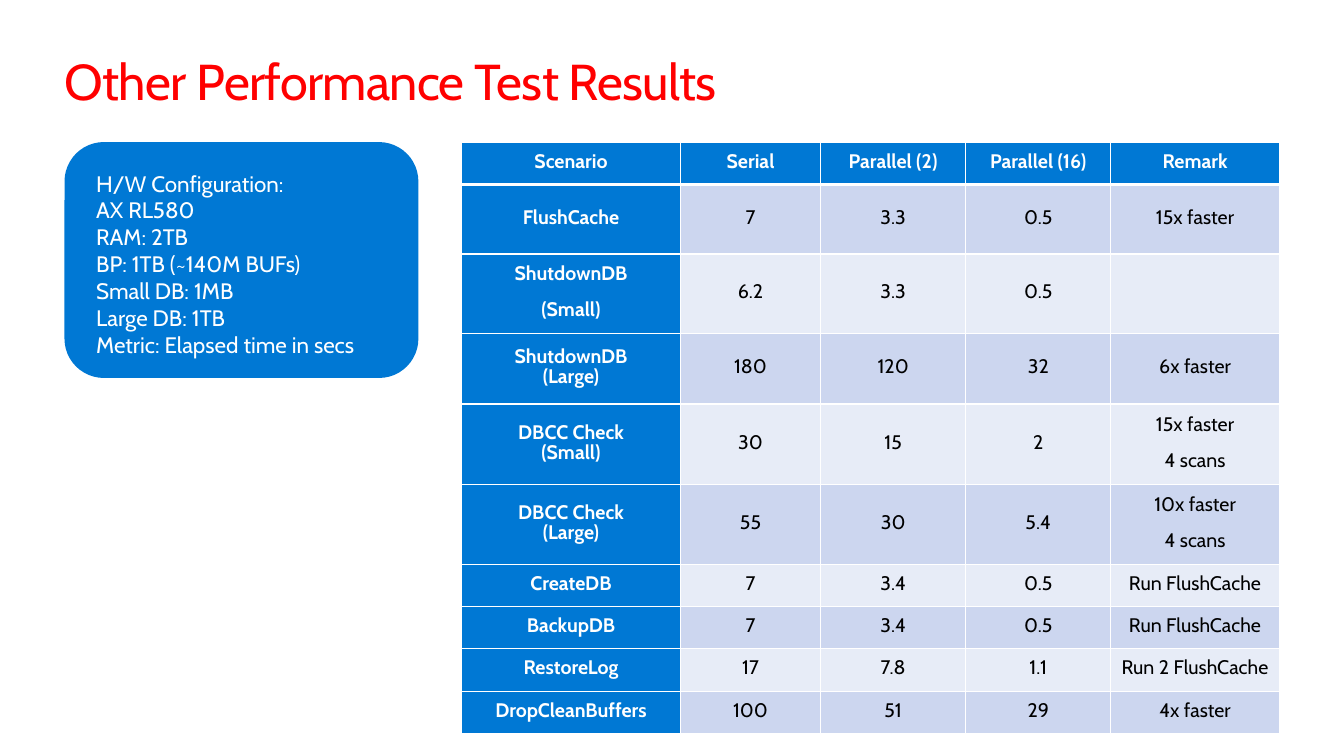
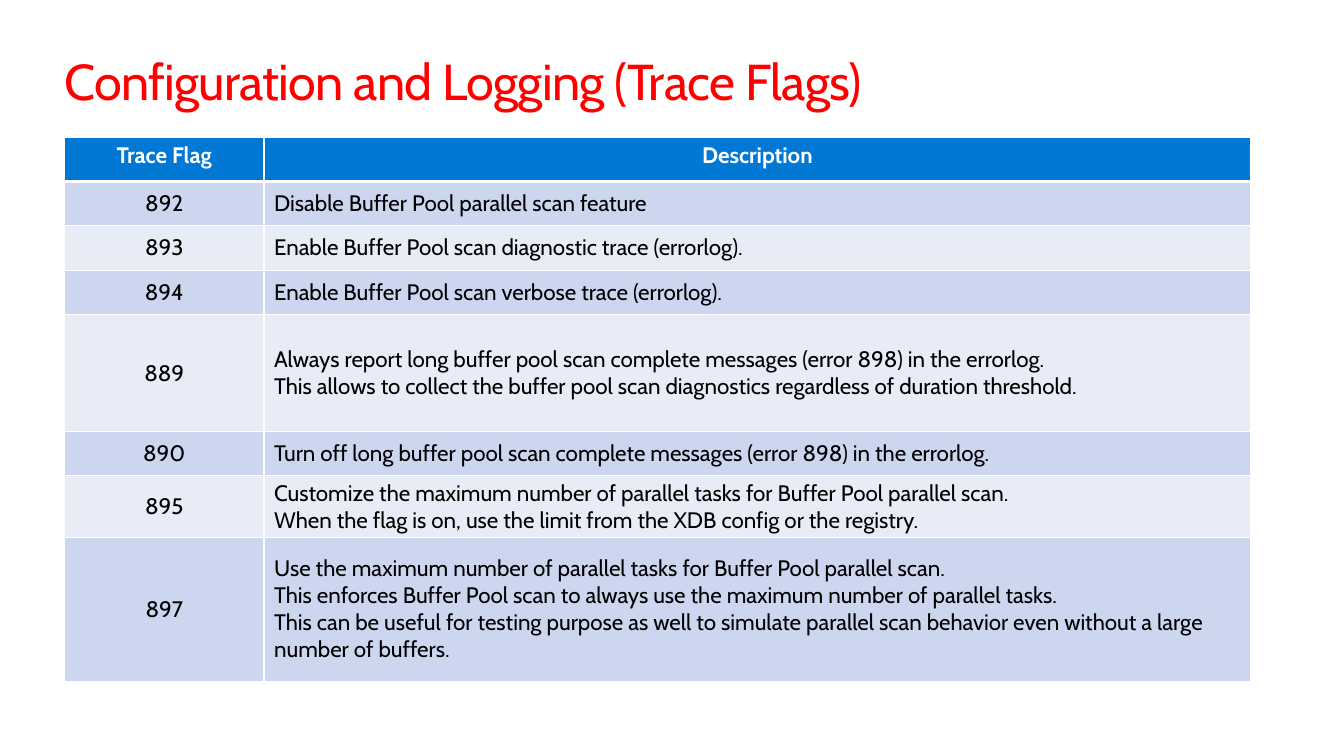
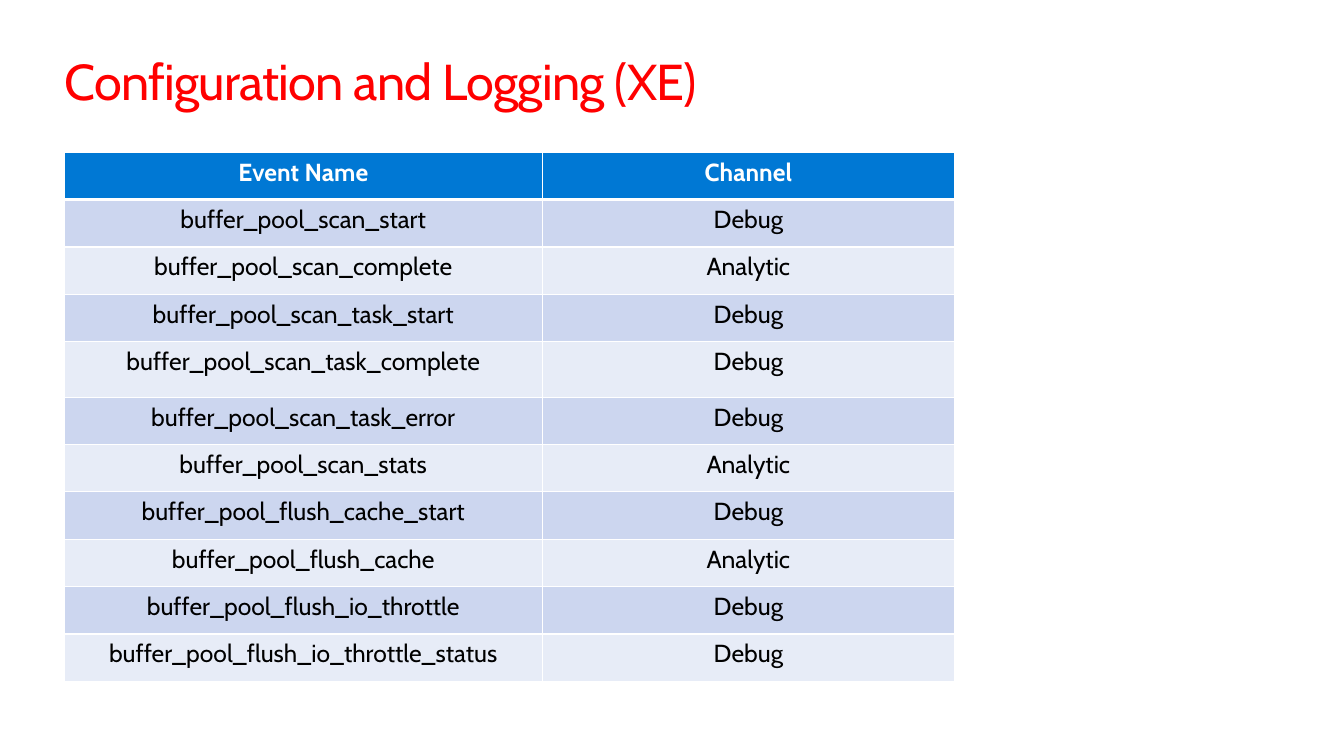
from copy import deepcopy
from dataclasses import dataclass

from pptx import Presentation
from pptx.dml.color import RGBColor as RGB
from pptx.enum.shapes import MSO_SHAPE as SHAPE
from pptx.enum.text import MSO_ANCHOR as ANCHOR, MSO_AUTO_SIZE as AUTO, PP_ALIGN as ALIGN
from pptx.oxml.ns import qn
from pptx.util import Inches, Pt
from lxml.etree import SubElement


@dataclass
class Theme:
    font: str = "Cabin"
    red: str = "FF0000"
    blue: str = "0078D4"
    bands: tuple = ("CCD6EF", "E7ECF7")
    white: str = "FFFFFF"
    black: str = "000000"
    title_size: float = 36
    box_size: float = 16


T = Theme()

prs = Presentation()
prs.slide_width, prs.slide_height = Inches(13.33), Inches(7.5)

# Grid: 100 columns by 100 rows
COL, ROW = prs.slide_width / 100, prs.slide_height / 100
MARGIN = 4.8


def add_text(p, text, size, color, bold=False):
    """Add text to a paragraph; a vertical tab starts a new line within it."""
    for i, part in enumerate(text.split("\v")):
        if i:
            p.add_line_break()
            p._p[-1].append(deepcopy(r._r.rPr))
        r = p.add_run()
        r.text = part
        r.font.name, r.font.size, r.font.bold = T.font, Pt(size), bold
        r.font.color.rgb = RGB.from_string(color)
    return r


def format_cell(cell, text, size, fill, color, bold, align, anchor, compact, tops):
    """Draw the borders, fill and paragraphs of one table cell."""
    tcPr = cell._tc.get_or_add_tcPr()
    for side, width in zip("LRTB", (1, 1, *tops)):
        ln = SubElement(tcPr, qn(f"a:ln{side}"), w=str(Pt(width)))
        SubElement(SubElement(ln, qn("a:solidFill")), qn("a:srgbClr"), val=T.white)
    cell.fill.solid()
    cell.fill.fore_color.rgb = RGB.from_string(fill)
    cell.vertical_anchor = anchor
    if compact:
        cell.margin_left = cell.margin_right = Inches(0.05)
    elif align == ALIGN.LEFT:
        cell.margin_top = cell.margin_bottom = Inches(0.03)
    tf = cell.text_frame
    for i, line in enumerate(text.split("\n") if text else []):
        p = tf.add_paragraph() if i else tf.paragraphs[0]
        p.alignment = align
        if compact:
            p.line_spacing, p.space_after = Pt(14), Pt(12)
        add_text(p, line, size, color, bold)


# Content of the three slides; positions and sizes in grid units
C, L = ALIGN.CENTER, ALIGN.LEFT
pages = [
    dict(
        title="Other Performance Test Results",
        left=34.35, top=18.8, size=14, compact=True, aligns=[C] * 5,
        head_anchor=ANCHOR.MIDDLE, body_anchor=ANCHOR.MIDDLE,
        cols=[16.28, 10.43, 10.8, 10.8, 12.53],
        heights=[5.6, 9.2, 10.53, 9.33, 10.67, 10.53] + [5.6] * 4,
        rows=[
            ("Scenario", "Serial", "Parallel (2)", "Parallel (16)", "Remark"),
            ("FlushCache", "7", "3.3", "0.5", "15x faster"),
            ("ShutdownDB\n(Small)", "6.2", "3.3", "0.5", ""),
            ("ShutdownDB\v(Large)", "180", "120", "32", "6x faster"),
            ("DBCC Check\v(Small)", "30", "15", "2", "15x faster\n4 scans"),
            ("DBCC Check\v(Large)", "55", "30", "5.4", "10x faster\n4 scans"),
            ("CreateDB", "7", "3.4", "0.5", "Run FlushCache"),
            ("BackupDB", "7", "3.4", "0.5", "Run FlushCache"),
            ("RestoreLog", "17", "7.8", "1.1", "Run 2 FlushCache"),
            ("DropCleanBuffers", "100", "51", "29", "4x faster"),
        ],
        box=["H/W Configuration:", "AX RL580", "RAM: 2TB", "BP: 1TB (~140M BUFs)",
             "Small DB: 1MB", "Large DB: 1TB", "Metric: Elapsed time in secs"],
    ),
    dict(
        title="Configuration and Logging (Trace Flags)",
        left=MARGIN, top=18.13, size=16, compact=False, aligns=[C, L],
        head_anchor=ANCHOR.TOP, body_anchor=ANCHOR.MIDDLE,
        cols=[14.85, 73.43],
        heights=[5.87] * 4 + [15.47, 5.87, 8.13, 19.07],
        rows=[
            ("Trace Flag", "Description"),
            ("892", "Disable Buffer Pool parallel scan feature"),
            ("893", "Enable Buffer Pool scan diagnostic trace (errorlog)."),
            ("894", "Enable Buffer Pool scan verbose trace (errorlog)."),
            ("889", "Always report long buffer pool scan complete messages (error 898) in the errorlog.\v"
                    "This allows to collect the buffer pool scan diagnostics regardless of duration threshold."),
            ("890", "Turn off long buffer pool scan complete messages (error 898) in the errorlog."),
            ("895", "Customize the maximum number of parallel tasks for Buffer Pool parallel scan.\v"
                    "When the flag is on, use the limit from the XDB config or the registry."),
            ("897", "Use the maximum number of parallel tasks for Buffer Pool parallel scan.\v"
                    "This enforces Buffer Pool scan to always use the maximum number of parallel tasks.\n"
                    "This can be useful for testing purpose as well to simulate parallel scan behavior "
                    "even without a large number of buffers."),
        ],
    ),
    dict(
        title="Configuration and Logging (XE)",
        left=MARGIN, top=20.13, size=17.6, compact=False, aligns=[C, C],
        head_anchor=ANCHOR.TOP, body_anchor=ANCHOR.TOP,
        cols=[35.55, 30.68],
        heights=[6.27] * 4 + [7.33] + [6.27] * 6,
        rows=[
            ("Event Name", "Channel"),
            ("buffer_pool_scan_start", "Debug"),
            ("buffer_pool_scan_complete", "Analytic"),
            ("buffer_pool_scan_task_start", "Debug"),
            ("buffer_pool_scan_task_complete", "Debug"),
            ("buffer_pool_scan_task_error", "Debug"),
            ("buffer_pool_scan_stats", "Analytic"),
            ("buffer_pool_flush_cache_start", "Debug"),
            ("buffer_pool_flush_cache", "Analytic"),
            ("buffer_pool_flush_io_throttle", "Debug"),
            ("buffer_pool_flush_io_throttle_status", "Debug"),
        ],
    ),
]

for page in pages:
    s = prs.slides.add_slide(prs.slide_layouts[5])

    # Title
    sp = s.shapes.title
    sp.left, sp.top = int(MARGIN * COL), int(6.67 * ROW)
    sp.width, sp.height = int(90.4 * COL), int(8.13 * ROW)
    tf = sp.text_frame
    tf.margin_left = tf.margin_top = tf.margin_right = tf.margin_bottom = 0
    tf.word_wrap, tf.auto_size = True, AUTO.SHAPE_TO_FIT_TEXT
    tf.vertical_anchor = ANCHOR.TOP
    p = tf.paragraphs[0]
    p.alignment = L
    r = add_text(p, page["title"], T.title_size, T.red)
    r._r.rPr.set("spc", "-50")

    # Table
    rows, cols, heights = page["rows"], page["cols"], page["heights"]
    table = s.shapes.add_table(
        len(rows), len(cols), int(page["left"] * COL), int(page["top"] * ROW),
        int(sum(cols) * COL), int(sum(heights) * ROW)).table
    for column, width in zip(table.columns, cols):
        column.width = int(width * COL)
    for i, row in enumerate(rows):
        table.rows[i].height = int(heights[i] * ROW)
        for j, text in enumerate(row):
            head = i == 0
            strong = head or (page["compact"] and j == 0)
            format_cell(
                table.cell(i, j), text, page["size"],
                fill=T.blue if strong else T.bands[(i - 1) % 2],
                color=T.white if strong else T.black, bold=strong,
                align=C if head else page["aligns"][j],
                anchor=page["head_anchor" if head else "body_anchor"],
                compact=page["compact"],
                tops=(3 if i == 1 else 1, 3 if head else 1))

    # Hardware box
    if "box" in page:
        sp = s.shapes.add_shape(SHAPE.ROUNDED_RECTANGLE, int(MARGIN * COL), int(18.8 * ROW),
                                int(26.33 * COL), int(31.2 * ROW))
        sp.shadow.inherit = False
        sp.fill.solid()
        sp.fill.fore_color.rgb = RGB.from_string(T.blue)
        sp.line.fill.background()
        tf = sp.text_frame
        tf.word_wrap, tf.vertical_anchor = True, ANCHOR.TOP
        tf.margin_left = tf.margin_right = Inches(0.2)
        tf.margin_top = tf.margin_bottom = Inches(0.16)
        for i, line in enumerate(page["box"]):
            p = tf.add_paragraph() if i else tf.paragraphs[0]
            p.alignment = L
            add_text(p, line, T.box_size, T.white)

prs.save("out.pptx")
